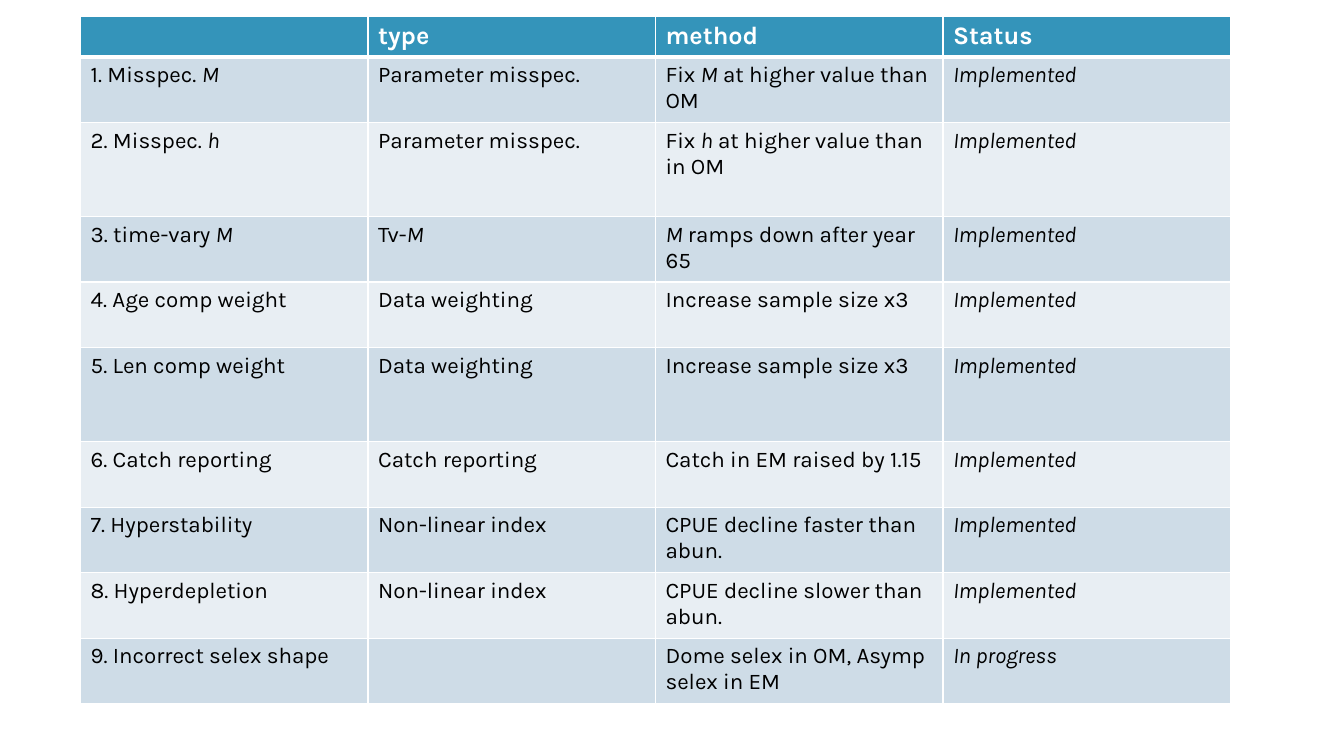
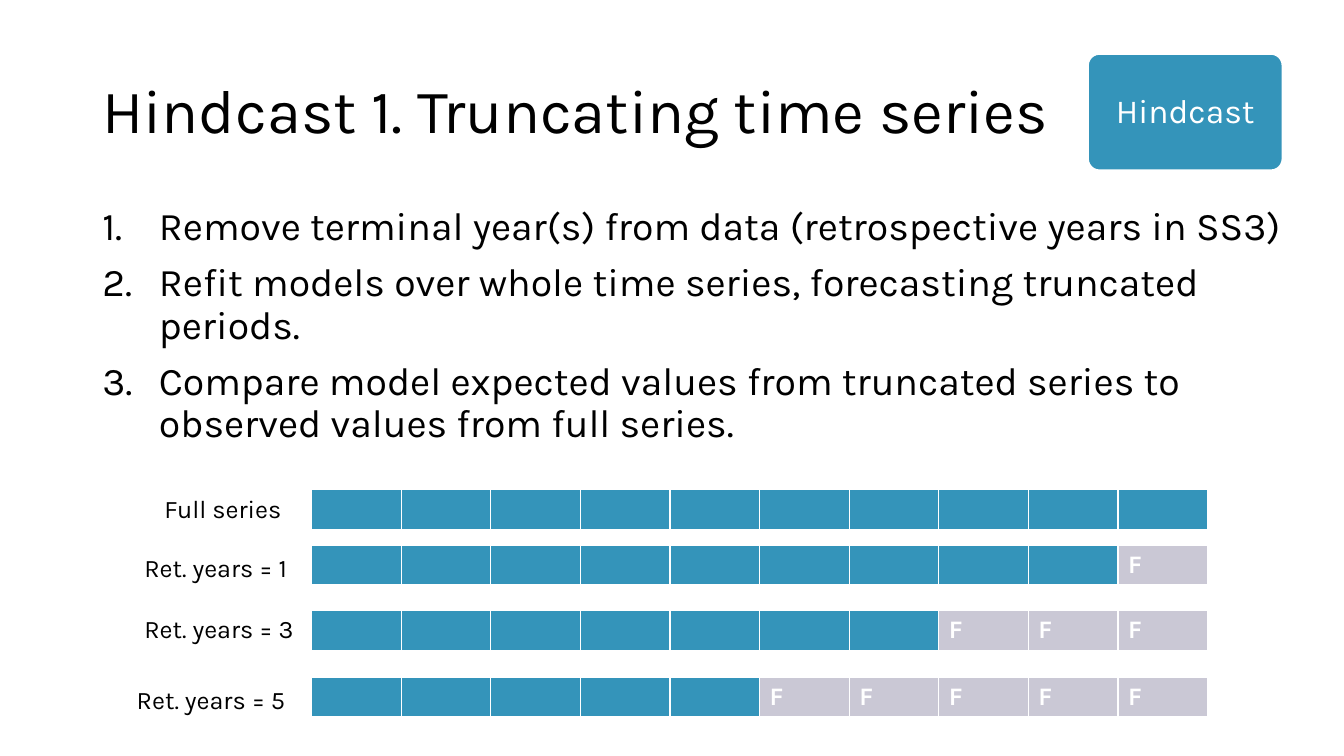
from dataclasses import dataclass

from lxml import etree
from pptx import Presentation
from pptx import util as u
from pptx.dml.color import RGBColor
from pptx.enum import shapes, text
from pptx.oxml import ns


@dataclass(frozen=True)
class Theme:
    font: str = "Karla"
    accent: str = "3494BA"
    forecast: str = "CAC8D5"
    bands: tuple[str, str] = ("CEDCE7", "E8EEF3")
    ink: str = "000000"
    paper: str = "FFFFFF"
    title: int = 44
    body: int = 28
    badge: int = 24
    label: int = 18
    cell: int = 16
    hairline: float = 1
    heavy_line: float = 3
    line_spacing: float = 0.9


@dataclass(frozen=True)
class Area:
    """A rectangle in grid columns and rows."""
    left: float
    top: float
    width: float
    height: float


@dataclass(frozen=True)
class Scenario:
    name: str
    kind: str
    method: str
    status: str = "*Implemented*"
    tall: bool = False


@dataclass(frozen=True)
class Series:
    label: str
    removed_years: int
    label_left: float
    label_top: float
    bar_top: float


THEME = Theme()
WIDTH, HEIGHT = u.Inches(13.33), u.Inches(7.5)
GRID_COLUMNS, GRID_ROWS = 160, 90

SCENARIO_LEFT, SCENARIO_TOP, SCENARIO_COLUMN = 9.6, 1.92, 34.22
HEADER_ROW, SCENARIO_ROW, TALL_ROW = 4.68, 7.8, 11.2
BAR_LEFT, BAR_YEAR, BAR_ROW, YEARS = 37.1, 10.67, 4.9, 10
LABEL_WIDTH, LABEL_ROW = 25, 4.8

HEADINGS = ["", "type", "method", "Status"]
SCENARIOS = [
    Scenario("1. Misspec. *M*", "Parameter misspec.", "Fix *M* at higher value than OM"),
    Scenario("2. Misspec. *h*", "Parameter misspec.", "Fix *h* at higher value than in OM", tall=True),
    Scenario("3. time-vary *M*", "Tv-*M*", "*M* ramps down after year 65"),
    Scenario("4. Age comp weight", "Data weighting", "Increase sample size x3"),
    Scenario("5. Len comp weight", "Data weighting", "Increase sample size x3", tall=True),
    Scenario("6. Catch reporting", "Catch reporting", "Catch in EM raised by 1.15"),
    Scenario("7. Hyperstability", "Non-linear index", "CPUE decline faster than abun."),
    Scenario("8. Hyperdepletion", "Non-linear index", "CPUE decline slower than abun."),
    Scenario("9. Incorrect selex shape", "", "Dome selex in OM, Asymp selex in EM", "*In progress*"),
]
STEPS = [
    "Remove terminal year(s) from data (retrospective years in SS3)",
    "Refit models over whole time series, forecasting truncated periods.",
    "Compare model expected values from truncated series to observed values from full series.",
]
SERIES = [
    Series("Full series", 0, 18.4, 58.1, 58.3),
    Series("Ret. years = 1", 1, 16, 65.2, 64.9),
    Series("Ret. years = 3", 3, 16, 72.4, 72.7),
    Series("Ret. years = 5", 5, 15.1, 80.9, 80.6),
]


def across(columns: float) -> int:
    return round(WIDTH * columns / GRID_COLUMNS)


def down(rows: float) -> int:
    return round(HEIGHT * rows / GRID_ROWS)


def place(area: Area) -> tuple[int, int, int, int]:
    return across(area.left), down(area.top), across(area.width), down(area.height)


def style_font(font, size: int, colour: str, bold: bool = False) -> None:
    font.name, font.size, font.bold = THEME.font, u.Pt(size), bold
    font.color.rgb = RGBColor.from_string(colour)


def fill_solid(target, colour: str) -> None:
    target.fill.solid()
    target.fill.fore_color.rgb = RGBColor.from_string(colour)


def write_marked(para, marked: str, size: int, colour: str, bold: bool = False) -> None:
    """Write text in which *stars* surround italics."""
    for index, piece in enumerate(marked.split("*")):
        if piece:
            span = para.add_run()
            span.text = piece
            style_font(span.font, size, colour, bold)
            span.font.italic = index % 2 == 1


def add_text(page, area: Area, lines: list[str], size: int):
    box = page.shapes.add_textbox(*place(area))
    frame = box.text_frame
    frame.word_wrap = True
    frame.text = "\n".join(lines)
    for para in frame.paragraphs:
        for span in para.runs:
            style_font(span.font, size, THEME.ink)
    return box


def number_paragraph(para, indent: int) -> None:
    properties = para._p.get_or_add_pPr()
    properties.set("marL", str(indent))
    properties.set("indent", str(-indent))
    bullet = etree.SubElement(properties, ns.qn("a:buAutoNum"))
    bullet.set("type", "arabicPeriod")


def draw_borders(cell, widths: dict[str, float]) -> None:
    """Draw white borders; call before the cell is filled."""
    properties = cell._tc.get_or_add_tcPr()
    for side in "LRTB":
        if side in widths:
            line = etree.SubElement(properties, ns.qn(f"a:ln{side}"), w=str(u.Pt(widths[side])))
            solid = etree.SubElement(line, ns.qn("a:solidFill"))
            etree.SubElement(solid, ns.qn("a:srgbClr"), val=THEME.paper)


def add_grid(page, left: float, top: float, column: float, heights: list[float], count: int):
    """Add a plain table with equal columns."""
    area = Area(left, top, column * count, sum(heights))
    table = page.shapes.add_table(len(heights), count, *place(area)).table
    table.first_row = table.horz_banding = False
    for table_column in table.columns:
        table_column.width = across(column)
    for row, height in zip(table.rows, heights):
        row.height = down(height)
    return table


def fill_cell(cell, marked: str, colour: str, heading: bool) -> None:
    widths = {"L": THEME.hairline, "R": THEME.hairline, "B": THEME.hairline}
    size, ink = THEME.cell, THEME.ink
    if heading:
        widths |= {"T": THEME.hairline, "B": THEME.heavy_line}
        size, ink = THEME.label, THEME.paper
    draw_borders(cell, widths)
    fill_solid(cell, colour)
    write_marked(cell.text_frame.paragraphs[0], marked, size, ink, heading)


def build_scenarios(page) -> None:
    heights = [HEADER_ROW] + [TALL_ROW if item.tall else SCENARIO_ROW for item in SCENARIOS]
    table = add_grid(page, SCENARIO_LEFT, SCENARIO_TOP, SCENARIO_COLUMN, heights, len(HEADINGS))
    contents = [HEADINGS] + [[item.name, item.kind, item.method, item.status] for item in SCENARIOS]
    for row, entries in enumerate(contents):
        heading = row == 0
        colour = THEME.accent if heading else THEME.bands[(row - 1) % 2]
        for column, entry in enumerate(entries):
            fill_cell(table.cell(row, column), entry, colour, heading)


def add_badge(page, area: Area, caption: str) -> None:
    badge = page.shapes.add_shape(shapes.MSO_SHAPE.ROUNDED_RECTANGLE, *place(area))
    badge.adjustments[0] = 0.1
    badge.shadow.inherit = False
    fill_solid(badge, THEME.accent)
    badge.line.color.rgb = RGBColor.from_string(THEME.paper)
    badge.line.width = u.Pt(1.5)
    frame = badge.text_frame
    frame.text = caption
    frame.vertical_anchor = text.MSO_ANCHOR.MIDDLE
    para = frame.paragraphs[0]
    para.alignment = text.PP_ALIGN.CENTER
    para.line_spacing = THEME.line_spacing
    style_font(para.runs[0].font, THEME.badge, THEME.paper)


def add_series(page, series: Series) -> None:
    """Draw one labelled bar whose removed years are forecast."""
    table = add_grid(page, BAR_LEFT, series.bar_top, BAR_YEAR, [BAR_ROW], YEARS)
    for year in range(YEARS):
        removed = year >= YEARS - series.removed_years
        colour = THEME.forecast if removed else THEME.accent
        fill_cell(table.cell(0, year), "F" if removed else "", colour, heading=True)
    area = Area(series.label_left, series.label_top, LABEL_WIDTH, LABEL_ROW)
    add_text(page, area, [series.label], THEME.label)


def build_hindcast(page) -> None:
    title = add_text(page, Area(11, 4.8, 138, 17.4), ["Hindcast 1. Truncating time series"], THEME.title)
    title.text_frame.vertical_anchor = text.MSO_ANCHOR.MIDDLE
    title.text_frame.paragraphs[0].line_spacing = THEME.line_spacing

    steps = add_text(page, Area(11, 24, 144, 57), STEPS, THEME.body)
    for index, para in enumerate(steps.text_frame.paragraphs):
        para.line_spacing = THEME.line_spacing
        if index:
            para.space_before = u.Pt(10)
        number_paragraph(para, across(6.75))

    for series in SERIES:
        add_series(page, series)
    add_badge(page, Area(129.5, 6.4, 23.2, 13.9), "Hindcast")


def main() -> None:
    deck = Presentation()
    deck.slide_width, deck.slide_height = WIDTH, HEIGHT
    blank = deck.slide_layouts[6]
    for build in (build_scenarios, build_hindcast):
        build(deck.slides.add_slide(blank))
    deck.save("out.pptx")


if __name__ == "__main__":
    main()
